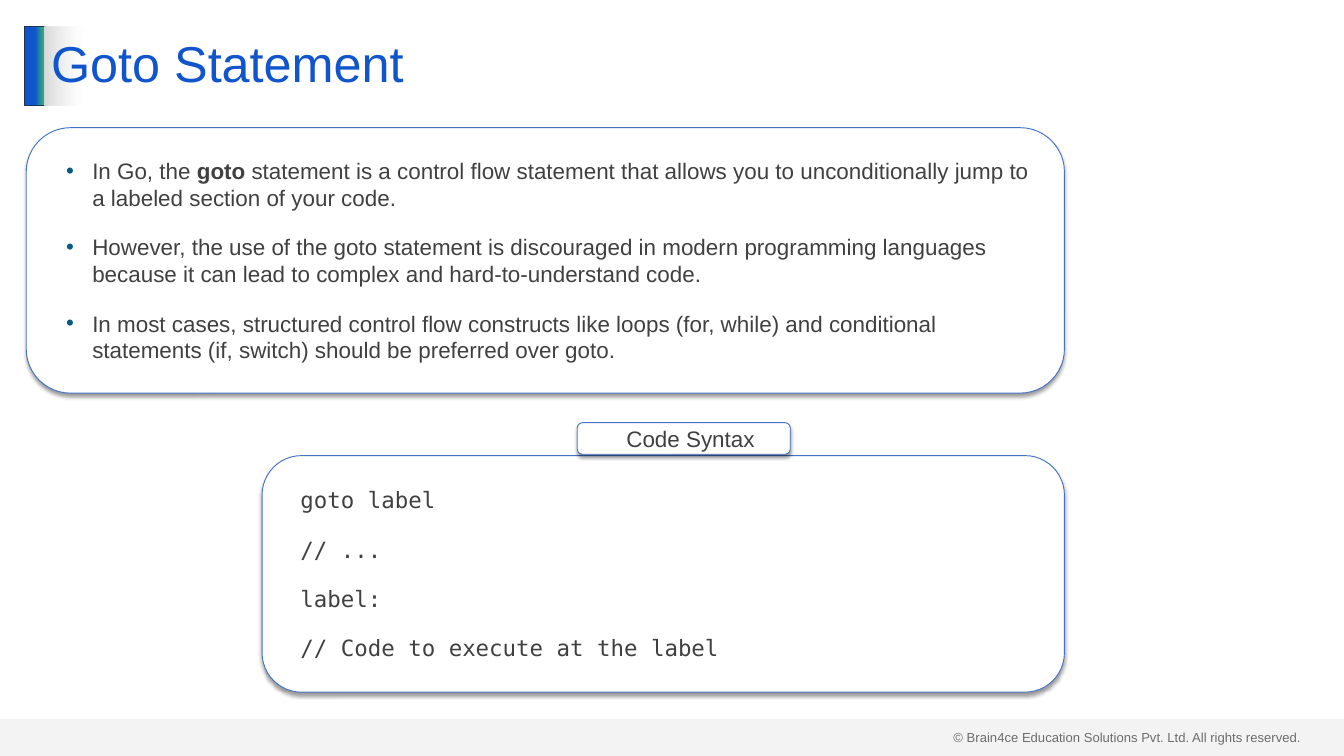
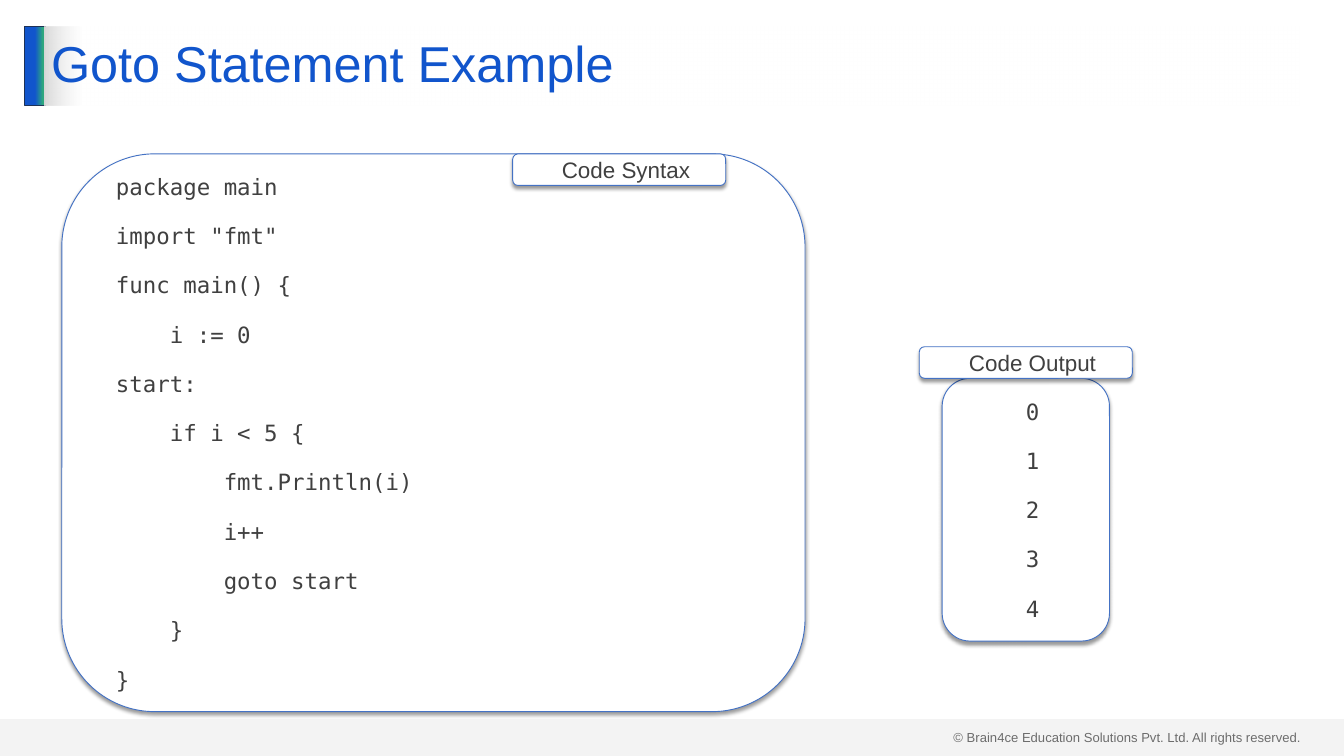
import dataclasses

import lxml.etree
import pptx
import pptx.dml.color
import pptx.enum.shapes
import pptx.enum.text
import pptx.oxml.ns
import pptx.util

Inches = pptx.util.Inches
Pt = pptx.util.Pt
qn = pptx.oxml.ns.qn
Preset = pptx.enum.shapes.MSO_SHAPE
Align = pptx.enum.text.PP_ALIGN


@dataclasses.dataclass(frozen=True)
class Theme:
    title: str = "1155CC"
    text: str = "404040"
    white: str = "FFFFFF"
    card_line: str = "4472C4"
    accent_line: str = "1E3256"
    accent_end: str = "2EA87D"
    gray: str = "D9D9D9"
    bullet: str = "095A82"
    shadow: str = "000000"
    font: str = "Arial"
    code_font: str = "DejaVu Sans Mono"
    title_size: int = 54
    body_size: int = 24
    footer_size: int = 14
    gap: int = 12


THEME = Theme()
LABEL_SIZE = (3.17, 0.47)
COPYRIGHT = "© Brain4ce Education Solutions Pvt. Ltd. All rights reserved."

STATEMENT_POINTS = [
    "In Go, the **goto** statement is a control flow statement that allows you "
    "to unconditionally jump to a labeled section of your code.",
    "However, the use of the goto statement is discouraged in modern programming "
    "languages because it can lead to complex and hard-to-understand code.",
    "In most cases, structured control flow constructs like loops (for, while) "
    "and conditional statements (if, switch) should be preferred over goto.",
]

SYNTAX_CODE = """goto label
// ...
label:
// Code to execute at the label"""

EXAMPLE_CODE = """package main
import "fmt"
func main() {
    i := 0
start:
    if i < 5 {
        fmt.Println(i)
        i++
        goto start
    }
}"""


def rgb(color):
    return pptx.dml.color.RGBColor.from_string(color)


def add_xml(parent, tag, **attributes):
    element = lxml.etree.SubElement(parent, qn(tag))
    for name, value in attributes.items():
        element.set(name, str(value))
    return element


def set_alpha(color_element, percent):
    add_xml(color_element, "a:alpha", val=percent * 1000)


def style_run(run, size, color=THEME.text, font=THEME.font):
    run.font.size = Pt(size)
    run.font.name = font
    run.font.color.rgb = rgb(color)


def fill_gradient(shape, stops):
    """Fill left to right with (position %, colour, opacity %) stops."""
    shape.fill.gradient()
    shape.fill.gradient_angle = 0
    stop_list = shape._element.spPr.find(qn("a:gradFill")).find(qn("a:gsLst"))
    for old_stop in list(stop_list):
        stop_list.remove(old_stop)
    for position, color, opacity in stops:
        stop = add_xml(stop_list, "a:gs", pos=position * 1000)
        color_element = add_xml(stop, "a:srgbClr", val=color)
        if opacity < 100:
            set_alpha(color_element, opacity)


def add_plain_shape(slide, preset, box):
    shape = slide.shapes.add_shape(preset, *map(Inches, box))
    shape.shadow.inherit = False
    return shape


def outline(shape, color):
    shape.line.color.rgb = rgb(color)
    shape.line.width = Pt(1)


# Parts shared by all slides
def add_footer_and_accent(slide):
    footer = slide.shapes.add_textbox(*map(Inches, (14.09, 10.8, 5.41, 0.34)))
    footer.text_frame.text = COPYRIGHT
    footer.text_frame.word_wrap = True
    style_run(footer.text_frame.paragraphs[0].runs[0], THEME.footer_size)

    accent = add_plain_shape(slide, Preset.RECTANGLE, (0.37, 0.39, 0.3, 1.18))
    fill_gradient(accent, [(51, THEME.title, 100), (90, THEME.accent_end, 100),
                           (100, THEME.accent_end, 100)])
    outline(accent, THEME.accent_line)

    band = add_plain_shape(slide, Preset.RECTANGLE, (0, 10.7, 20, 0.55))
    band.fill.solid()
    band.fill.fore_color.rgb = rgb(THEME.gray)
    set_alpha(band._element.spPr.find(qn("a:solidFill"))[0], 29)
    band.line.fill.background()


def format_title(slide, heading):
    title = slide.shapes.title
    title.left, title.top, title.width, title.height = map(
        Inches, (0.66, 0.39, 18.67, 1.18))
    fill_gradient(title, [(0, THEME.gray, 100), (3, THEME.white, 50)])
    frame = title.text_frame
    frame.text = heading
    frame.word_wrap = True
    frame.auto_size = pptx.enum.text.MSO_AUTO_SIZE.NONE
    frame.vertical_anchor = pptx.enum.text.MSO_ANCHOR.MIDDLE
    paragraph = frame.paragraphs[0]
    paragraph.alignment = Align.LEFT
    paragraph.line_spacing = 0.9
    style_run(paragraph.runs[0], THEME.title_size, THEME.title)
    # The title lies in front of the accent bar
    slide.shapes._spTree.append(title._element)


def add_titled_slide(deck, heading):
    slide = deck.slides.add_slide(deck.slide_layouts[5])
    add_footer_and_accent(slide)
    format_title(slide, heading)
    return slide


# Rounded cards and what they hold
def add_card(slide, box):
    card = add_plain_shape(slide, Preset.ROUNDED_RECTANGLE, box)
    card.fill.solid()
    card.fill.fore_color.rgb = rgb(THEME.white)
    outline(card, THEME.card_line)
    effects = card._element.spPr.find(qn("a:effectLst"))
    shadow = add_xml(effects, "a:outerShdw", blurRad=Pt(4), dist=Pt(3),
                     dir=90 * 60000, algn="t", rotWithShape=0)
    set_alpha(add_xml(shadow, "a:srgbClr", val=THEME.shadow), 40)

    frame = card.text_frame
    frame.word_wrap = True
    frame.vertical_anchor = pptx.enum.text.MSO_ANCHOR.MIDDLE
    frame.margin_left = frame.margin_right = Inches(0.2)
    frame.margin_top = frame.margin_bottom = Inches(0.1)
    return frame


def add_paragraphs(frame, lines, align=Align.LEFT, left=0.2, hanging=0):
    """Add one paragraph per line, with space only between them."""
    for number, line in enumerate(lines):
        paragraph = frame.add_paragraph() if number else frame.paragraphs[0]
        properties = paragraph._p.get_or_add_pPr()
        properties.set("marL", str(Inches(left)))
        properties.set("indent", str(-Inches(hanging)))
        paragraph.text = line
        paragraph.level = 1
        paragraph.alignment = align
        if number:
            paragraph.space_before = Pt(THEME.gap)
        if number < len(lines) - 1:
            paragraph.space_after = Pt(THEME.gap)
        yield paragraph


def add_points_card(slide, box, points):
    frame = add_card(slide, box)
    for paragraph in add_paragraphs(frame, points, left=0.59, hanging=0.39):
        bullet_color = add_xml(paragraph._p.pPr, "a:buClr")
        add_xml(bullet_color, "a:srgbClr", val=THEME.bullet)
        add_xml(paragraph._p.pPr, "a:buFont", typeface=THEME.font)
        add_xml(paragraph._p.pPr, "a:buChar", char="•")
        # Words between double asterisks are bold
        pieces = paragraph.text.split("**")
        paragraph.text = pieces[0]
        for piece in pieces[1:]:
            paragraph.add_run().text = piece
        for position, run in enumerate(paragraph.runs):
            style_run(run, THEME.body_size)
            run.font.bold = position % 2 == 1


def add_code_card(slide, box, code, align=Align.LEFT):
    frame = add_card(slide, box)
    for paragraph in add_paragraphs(frame, code.splitlines(), align):
        style_run(paragraph.runs[0], THEME.body_size, font=THEME.code_font)


def add_label(slide, left, top, caption):
    frame = add_card(slide, (left, top, *LABEL_SIZE))
    for paragraph in add_paragraphs(frame, [caption], Align.CENTER):
        style_run(paragraph.runs[0], THEME.body_size)


def main():
    deck = pptx.Presentation()
    deck.slide_width, deck.slide_height = Inches(20), Inches(11.25)

    # Goto statement
    statement = add_titled_slide(deck, "Goto Statement")
    add_points_card(statement, (0.39, 1.9, 15.45, 3.95), STATEMENT_POINTS)
    add_code_card(statement, (3.9, 6.78, 11.94, 3.52), SYNTAX_CODE)
    add_label(statement, 8.59, 6.29, "Code Syntax")

    # Example with its output
    example = add_titled_slide(deck, "Goto Statement Example")
    add_code_card(example, (0.92, 2.29, 11.06, 8.3), EXAMPLE_CODE)
    add_label(example, 7.63, 2.29, "Code Syntax")
    output = "\n".join(str(count) for count in range(5))
    add_code_card(example, (14.02, 5.63, 2.49, 3.91), output, Align.CENTER)
    add_label(example, 13.68, 5.16, "Code Output")

    deck.save("out.pptx")


if __name__ == "__main__":
    main()
